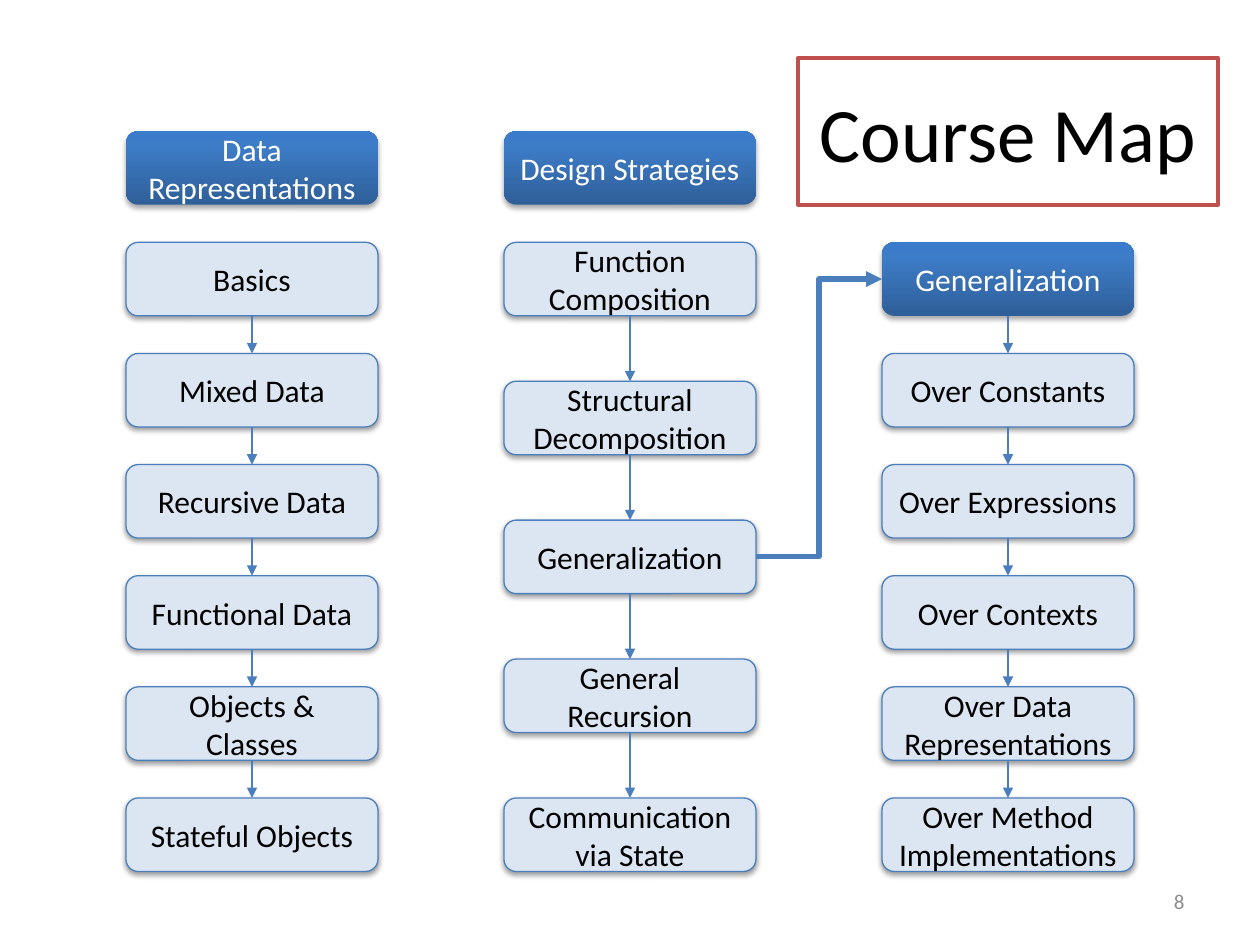
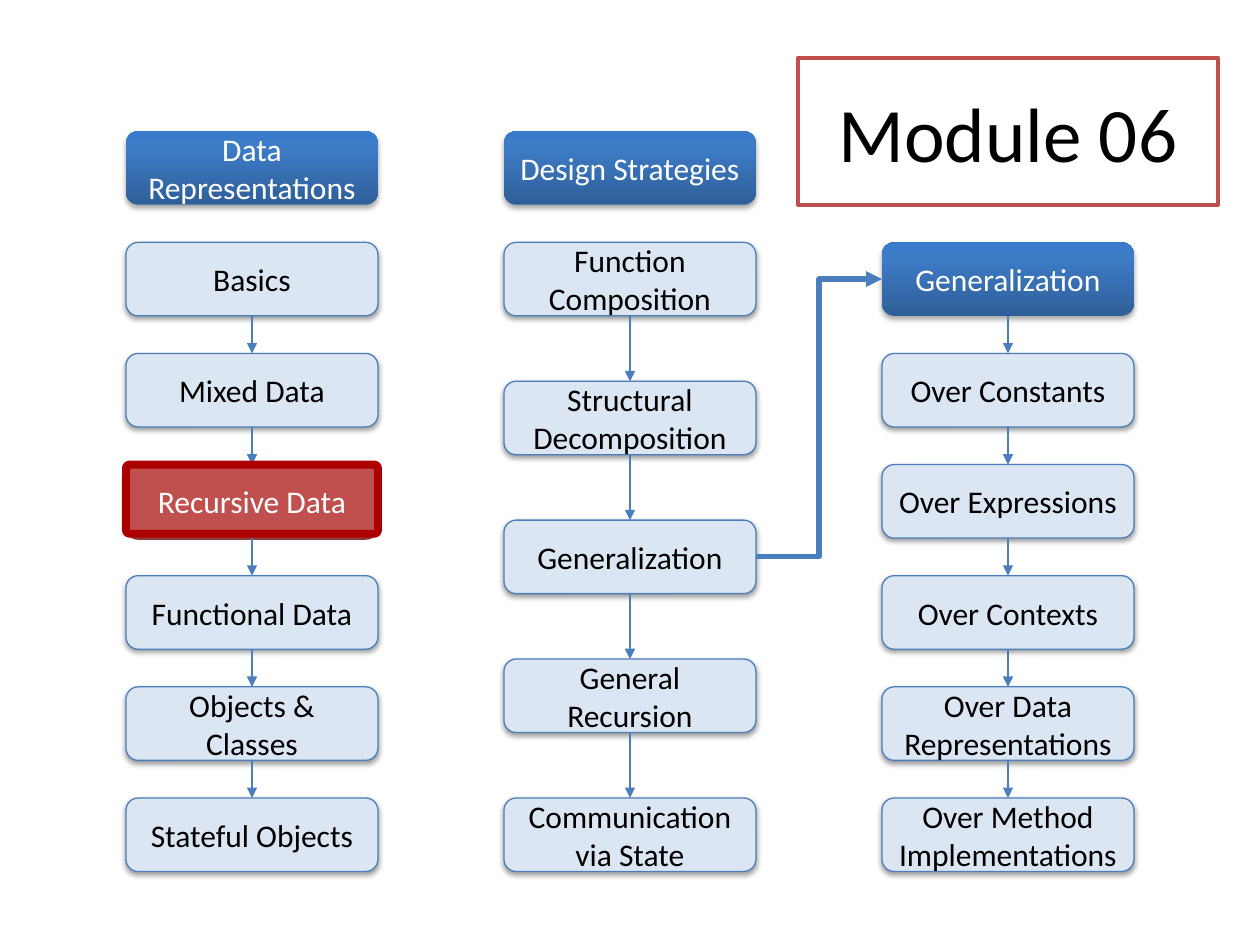
"""Build the two course map slides: the overview and the map for one module."""
from dataclasses import dataclass
from itertools import pairwise

from lxml.etree import SubElement
from pptx import Presentation
from pptx.dml.color import RGBColor
from pptx.enum.shapes import MSO_CONNECTOR, MSO_SHAPE
from pptx.enum.text import MSO_ANCHOR, MSO_AUTO_SIZE, PP_ALIGN
from pptx.oxml.ns import qn
from pptx.util import Pt

SLIDES = [
    {"title": "Course Map", "number": "8", "current": None},
    {"title": "Module 06", "number": None, "current": "Recursive Data"},
]

COLUMNS = [
    {"left": 72, "header_row": 0, "header": "Data Representations", "linked": False,
     "topics": ["Basics", "Mixed Data", "Recursive Data", "Functional Data",
                "Objects & Classes", "Stateful Objects"]},
    {"left": 288, "header_row": 0, "header": "Design Strategies", "linked": False,
     "topics": ["Function Composition", "Structural Decomposition", "Generalization",
                "General Recursion", "Communication via State"]},
    {"left": 504, "header_row": 1, "header": "Generalization", "linked": True,
     "topics": ["Over Constants", "Over Expressions", "Over Contexts",
                "Over Data Representations", "Over Method Implementations"]},
]
BRANCH_TOPIC = "Generalization"

SLIDE_SIZE = (720, 540)
BOX_WIDTH, BOX_HEIGHT = 144, 42
FIRST_TOP, ROW_STEP, LAST_ROW = 75, 63.5, 6
TITLE_FRAME = (456, 33, 240, 84)
NUMBER_FRAME = (516, 500.5, 168, 28.75)
MARKER_HEIGHT = 39.5
TOP, LEFT, BOTTOM, RIGHT = range(4)


@dataclass(frozen=True)
class Theme:
    """Colours, type sizes and effects shared by the slides."""
    font: str = "Calibri"
    title_size: float = 44
    box_size: float = 18
    number_size: float = 12
    dark: str = "000000"
    light: str = "FFFFFF"
    grey: str = "8C8C8C"
    topic_fill: str = "DCE6F2"
    blue: str = "4B7EBC"
    red: str = "C0504D"
    red_edge: str = "8E3B39"
    marker: str = "AC0000"
    header_stops: tuple = ((0, "2F5F99"), (80, "3D7CC7"), (100, "3A7CCB"))
    header_shadow: tuple = (35, 3.1, 1.8)
    topic_shadow: tuple = (38, 3.1, 1.6)


THEME = Theme()


def color(code):
    return RGBColor.from_string(code)


def points(values):
    return [Pt(value) for value in values]


def write(shape, text, size, code, align=PP_ALIGN.CENTER):
    frame = shape.text_frame
    frame.text = text
    frame.word_wrap = True
    frame.auto_size = MSO_AUTO_SIZE.NONE
    frame.vertical_anchor = MSO_ANCHOR.MIDDLE
    para = frame.paragraphs[0]
    para.alignment = align
    for span in para.runs:
        span.font.name = THEME.font
        span.font.size = Pt(size)
        span.font.color.rgb = color(code)


def outline(shape, code, width):
    shape.line.color.rgb = color(code)
    shape.line.width = Pt(width)


def add_color(parent, code, alpha=100):
    node = SubElement(parent, qn("a:srgbClr"), val=code)
    if alpha < 100:
        SubElement(node, qn("a:alpha"), val=str(alpha * 1000))


def add_shadow(shape, alpha, blur, distance):
    effects = shape._element.spPr.find(qn("a:effectLst"))
    shadow = SubElement(effects, qn("a:outerShdw"), blurRad=str(Pt(blur)),
                        dist=str(Pt(distance)), dir="5400000", rotWithShape="0")
    add_color(shadow, THEME.dark, alpha)


def fill_header(shape):
    shape.fill.gradient()
    shape.fill.gradient_angle = 90
    stops = shape._element.spPr.find(qn("a:gradFill")).find(qn("a:gsLst"))
    for stop in list(stops):
        stops.remove(stop)
    for position, code in THEME.header_stops:
        add_color(SubElement(stops, qn("a:gs"), pos=str(position * 1000)), code)


def add_rounded(page, frame):
    box = page.shapes.add_shape(MSO_SHAPE.ROUNDED_RECTANGLE, *points(frame))
    box.shadow.inherit = False
    return box


def add_box(page, left, top, text, role):
    box = add_rounded(page, (left, top, BOX_WIDTH, BOX_HEIGHT))
    write(box, text, THEME.box_size, THEME.dark if role == "topic" else THEME.light)
    if role == "header":
        fill_header(box)
        box.line.fill.background()
        add_shadow(box, *THEME.header_shadow)
        return box
    box.fill.solid()
    if role == "topic":
        box.fill.fore_color.rgb = color(THEME.topic_fill)
        outline(box, THEME.blue, 0.75)
        add_shadow(box, *THEME.topic_shadow)
    else:
        box.fill.fore_color.rgb = color(THEME.red)
        outline(box, THEME.red_edge, 2)
    return box


def add_arrow(page, kind, start, start_site, end, end_site, width):
    arrow = page.shapes.add_connector(kind, 0, 0, 0, 0)
    arrow.begin_connect(start, start_site)
    arrow.end_connect(end, end_site)
    outline(arrow, THEME.blue, width)
    SubElement(arrow.line._get_or_add_ln(), qn("a:tailEnd"), type="triangle")
    SubElement(arrow._element.spPr, qn("a:effectLst"))


def add_column(page, column, current):
    left, topics = column["left"], column["topics"]
    header_top = FIRST_TOP + column["header_row"] * ROW_STEP
    header = add_box(page, left, header_top, column["header"], "header")
    first = header_top + ROW_STEP
    step = (FIRST_TOP + LAST_ROW * ROW_STEP - first) / (len(topics) - 1)
    boxes = {}
    for index, topic in enumerate(topics):
        role = "current" if topic == current else "topic"
        boxes[topic] = add_box(page, left, first + index * step, topic, role)
    chain = ([header] if column["linked"] else []) + list(boxes.values())
    for upper, lower in pairwise(chain):
        add_arrow(page, MSO_CONNECTOR.STRAIGHT, upper, BOTTOM, lower, TOP, 0.75)
    return header, boxes


def add_title(page, text):
    title = page.shapes.title
    title.left, title.top, title.width, title.height = points(TITLE_FRAME)
    geometry = SubElement(title._element.spPr, qn("a:prstGeom"), prst="roundRect")
    SubElement(geometry, qn("a:avLst"))
    outline(title, THEME.red, 2.25)
    write(title, text, THEME.title_size, THEME.dark)
    title.text_frame.margin_left = title.text_frame.margin_right = 0


def add_marker(page, box):
    marker = add_rounded(page, (box.left.pt, box.top.pt, BOX_WIDTH, MARKER_HEIGHT))
    marker.adjustments[0] = 0.05
    marker.fill.background()
    outline(marker, THEME.marker, 4.5)


def build_page(deck, content):
    page = deck.slides.add_slide(deck.slide_layouts.get_by_name("Title Only"))
    add_title(page, content["title"])
    current = content["current"]
    data, strategies, general = [add_column(page, column, current) for column in COLUMNS]
    add_arrow(page, MSO_CONNECTOR.ELBOW, strategies[1][BRANCH_TOPIC], RIGHT,
              general[0], LEFT, 3)
    if current:
        add_marker(page, data[1][current])
    if content["number"]:
        number = page.shapes.add_textbox(*points(NUMBER_FRAME))
        write(number, content["number"], THEME.number_size, THEME.grey, PP_ALIGN.RIGHT)


deck = Presentation()
deck.slide_width, deck.slide_height = points(SLIDE_SIZE)
for content in SLIDES:
    build_page(deck, content)
deck.save("out.pptx")
